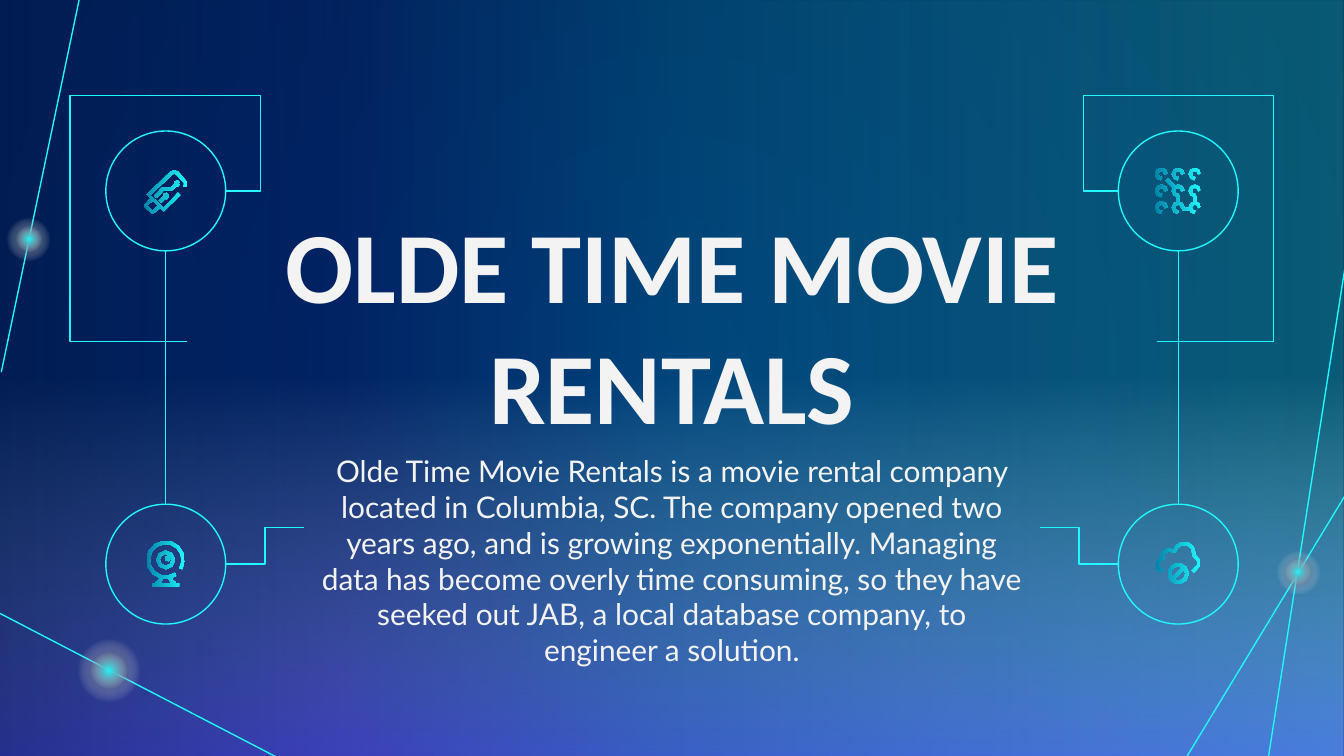
from dataclasses import dataclass
from itertools import product
from math import cos, hypot, radians, sin

from lxml.etree import SubElement
from pptx import Presentation
from pptx.dml.color import RGBColor
from pptx.enum.shapes import MSO_CONNECTOR, MSO_SHAPE
from pptx.enum.text import MSO_ANCHOR, PP_ALIGN
from pptx.oxml.ns import qn
from pptx.util import Pt


@dataclass(frozen=True)
class Theme:
    cyan: str = "20F8FD"
    teal: str = "0182AA"
    royal: str = "022E88"
    navy: str = "012060"
    midnight: str = "00183A"
    periwinkle: str = "748BFF"
    violet: str = "7659FF"
    white: str = "F3F3F3"
    title_font: str = "Calibri"
    title_size: int = 54
    body_font: str = "Lato"
    body_size: int = 16
    line_width: float = 0.75
    icon_stroke: float = 1.8


WIDTH, HEIGHT = 720, 405
CENTER = WIDTH / 2
COLUMN = 271.2
TOP_Y, BOTTOM_Y = 102.3, 302.2
RADIUS = 32.1
TITLE = "OLDE TIME MOVIE RENTALS"
SUMMARY = (
    "Olde Time Movie Rentals is a movie rental company located in Columbia, SC. "
    "The company opened two years ago, and is growing exponentially. Managing data "
    "has become overly time consuming, so they have seeked out JAB, a local database "
    "company, to engineer a solution."
)
BEAMS = [
    ((150.5, 406.8), (-0.7, 328.3)),
    ((635.8, 405.4), (722.2, 262.8)),
    ((679, 409), (722.9, 128.2)),
    ((43.9, -7.2), (0.7, 199.4)),
]
GLOWS = [(695.5, 306.7, 16.6), (58.3, 359.3, 23.8), (15.5, 128.2, 16.6)]


def arc(x, y, radius, start=0, end=360):
    steps = round(4 + radius)
    angles = [radians(start + (end - start) * i / steps) for i in range(steps + 1)]
    return [(x + radius * cos(a), y + radius * sin(a)) for a in angles]


def band(points, width):
    left, right = [], []
    for i, (x, y) in enumerate(points):
        ahead = points[min(i + 1, len(points) - 1)]
        behind = points[max(i - 1, 0)]
        dx, dy = ahead[0] - behind[0], ahead[1] - behind[1]
        reach = width / 2 / hypot(dx, dy)
        left.append((x - dy * reach, y + dx * reach))
        right.append((x + dy * reach, y - dx * reach))
    return left + right[::-1]


def drive_icon():
    return [
        [(10.4, -2.2), (10.6, -4.6), (6.2, -9.5), (4.6, -10.2), (3, -9.5),
         (-9.2, 2.2), (-1, 10), (7.2, 1.6)],
        [(-7.9, 5), (-11, 7.9), (-7, 11.6), (-3.8, 8.8)],
        [(-5.5, 3.2), (-1.5, -1), (3, -1), (5, -3)],
        [(-3, 5.8), (-0.8, 3.6)],
        arc(5.9, -3.9, 0.9),
        arc(0, 2.8, 0.9),
    ]


def network_icon():
    nodes = [arc(x, y, 2.5, 90, 360) for x, y in product((-9, 0, 9), repeat=2)]
    links = [[(-6, -6), (-2, -2)], [(0, 2.7), (0, 6)], [(9, 2.7), (9, 6)],
             [(2.4, 9.6), (6, 9.6)]]
    return nodes + links


def webcam_icon():
    return [
        arc(0, -2.2, 9.4, 56, 391),
        arc(0, -2.2, 4.1),
        arc(1, -3, 0.7),
        [(-7.2, 11.2), (7.2, 11.2)],
        [(-2.4, 7.6), (-3.2, 9.2), (-4.8, 10.4)],
        [(2.4, 7.6), (3.2, 9.2), (4.8, 10.4)],
    ]


def cloud_icon():
    return [
        [(-8.5, 4), (-10.8, 2.2), (-11.2, -0.5), (-8.2, -3.6), (-7.9, -5.8),
         (-5.5, -7.7), (-2, -6.8), (-0.6, -9.4), (2, -11), (5, -10.8),
         (7.6, -9), (8.8, -4.2), (10.8, -2.2), (11.2, 0.5), (7.8, 4)],
        arc(0, 5.1, 4.8),
        [(-2.5, 7.6), (2.5, 2.6)],
    ]


class SlideArtist:
    """Draws styled elements on one blank page."""

    def __init__(self, deck, theme):
        self.theme = theme
        self.page = deck.slides.add_slide(deck.slide_layouts[6])

    def gradient(self, fill, element, stops, angle=None):
        fill.gradient()
        node = element.find(".//" + qn("a:gradFill"))
        for child in list(node):
            node.remove(child)
        stop_list = SubElement(node, qn("a:gsLst"))
        for position, color, opacity in stops:
            stop = SubElement(stop_list, qn("a:gs"), pos=str(position * 1000))
            tint = SubElement(stop, qn("a:srgbClr"), val=color)
            if opacity < 100:
                SubElement(tint, qn("a:alpha"), val=str(opacity * 1000))
        if angle is None:
            radial = SubElement(node, qn("a:path"), path="circle")
            SubElement(radial, qn("a:fillToRect"), dict.fromkeys("ltrb", "50000"))
        else:
            SubElement(node, qn("a:lin"), ang=str(angle * 60000), scaled="0")

    def background(self, stops):
        self.gradient(self.page.background.fill, self.page.element, stops)

    def shape(self, kind, left, top, width, height):
        shape = self.page.shapes.add_shape(kind, Pt(left), Pt(top), Pt(width), Pt(height))
        shape.shadow.inherit = False
        shape.line.fill.background()
        return shape

    def veil(self, stops, angle):
        shape = self.shape(MSO_SHAPE.RECTANGLE, 0, 0, WIDTH, HEIGHT)
        self.gradient(shape.fill, shape.element, stops, angle)

    def circle(self, x, y, radius):
        return self.shape(MSO_SHAPE.OVAL, x - radius, y - radius, 2 * radius, 2 * radius)

    def glow(self, x, y, radius):
        clear = self.theme.white
        for color, size in ((self.theme.midnight, radius), (self.theme.cyan, radius * 0.59)):
            disc = self.circle(x, y, size)
            stops = [(0, color, 100), (50, clear, 0), (100, clear, 0)]
            self.gradient(disc.fill, disc.element, stops)

    def ring(self, x, y):
        ring = self.circle(x, y, RADIUS)
        ring.fill.background()
        self.outline(ring.line)

    def outline(self, line):
        line.color.rgb = RGBColor.from_string(self.theme.cyan)
        line.width = Pt(self.theme.line_width)

    def connector(self, start, end, kind=MSO_CONNECTOR.STRAIGHT, bends=()):
        line = self.page.shapes.add_connector(kind, *(Pt(v) for v in (*start, *end)))
        self.outline(line.line)
        properties = line._element.spPr
        SubElement(properties, qn("a:effectLst"))
        if bends:
            geometry = properties.find(qn("a:prstGeom"))
            geometry.set("prst", "bentConnector5")
            guides = geometry.find(qn("a:avLst"))
            for number, value in enumerate(bends, 1):
                SubElement(guides, qn("a:gd"), name=f"adj{number}", fmla=f"val {value}")

    def icon(self, x, y, strokes):
        contours = [
            [(Pt(x + px), Pt(y + py)) for px, py in band(stroke, self.theme.icon_stroke)]
            for stroke in strokes
        ]
        builder = self.page.shapes.build_freeform(*contours[0][0], scale=1.0)
        for number, contour in enumerate(contours):
            if number:
                builder.move_to(*contour[0])
            builder.add_line_segments(contour[1:], close=True)
        shape = builder.convert_to_shape()
        shape.shadow.inherit = False
        shape.line.fill.background()
        stops = [(0, self.theme.cyan, 100), (100, self.theme.teal, 100)]
        self.gradient(shape.fill, shape.element, stops, 180)

    def text(self, words, left, top, width, height, font, size, bold=False):
        box = self.page.shapes.add_textbox(Pt(left), Pt(top), Pt(width), Pt(height))
        frame = box.text_frame
        frame.word_wrap = True
        frame.vertical_anchor = MSO_ANCHOR.TOP
        frame.margin_left = frame.margin_right = Pt(7.2)
        frame.margin_top = frame.margin_bottom = Pt(7.2)
        para = frame.paragraphs[0]
        para.alignment = PP_ALIGN.CENTER
        span = para.add_run()
        span.text = words
        span.font.name, span.font.size, span.font.bold = font, Pt(size), bold
        span.font.color.rgb = RGBColor.from_string(self.theme.white)


def main():
    theme = Theme()
    deck = Presentation()
    deck.slide_width, deck.slide_height = Pt(WIDTH), Pt(HEIGHT)
    artist = SlideArtist(deck, theme)
    artist.background([(0, theme.navy, 100), (100, theme.midnight, 100)])
    artist.veil([(0, theme.periwinkle, 0), (50, theme.white, 0), (100, theme.violet, 77)], 90)
    artist.veil([(0, theme.cyan, 29), (50, theme.teal, 36), (75, theme.royal, 35),
                 (100, theme.navy, 60)], 180)
    for start, end in BEAMS:
        artist.connector(start, end)
    for x, y, radius in GLOWS:
        artist.glow(x, y, radius)
    artist.text(TITLE, 100.1, 101.5, 519.8, 162.7, theme.title_font, theme.title_size, True)
    artist.text(SUMMARY, 163, 235.4, 394, 95, theme.body_font, theme.body_size)
    columns = ((-1, drive_icon(), webcam_icon()), (1, network_icon(), cloud_icon()))
    for side, top_icon, bottom_icon in columns:
        x = CENTER + side * COLUMN
        inner = x - side * RADIUS
        for y, strokes in ((TOP_Y, top_icon), (BOTTOM_Y, bottom_icon)):
            artist.ring(x, y)
            artist.icon(x, y, strokes)
        artist.connector((x, TOP_Y + RADIUS), (x, BOTTOM_Y - RADIUS))
        artist.connector((inner, TOP_Y), (inner + side * 20.8, 182.9),
                         MSO_CONNECTOR.ELBOW, (-90400, -63300, 400400))
        artist.connector((inner, BOTTOM_Y), (inner - side * 42, 282.7), MSO_CONNECTOR.ELBOW)
    deck.save("out.pptx")


if __name__ == "__main__":
    main()
